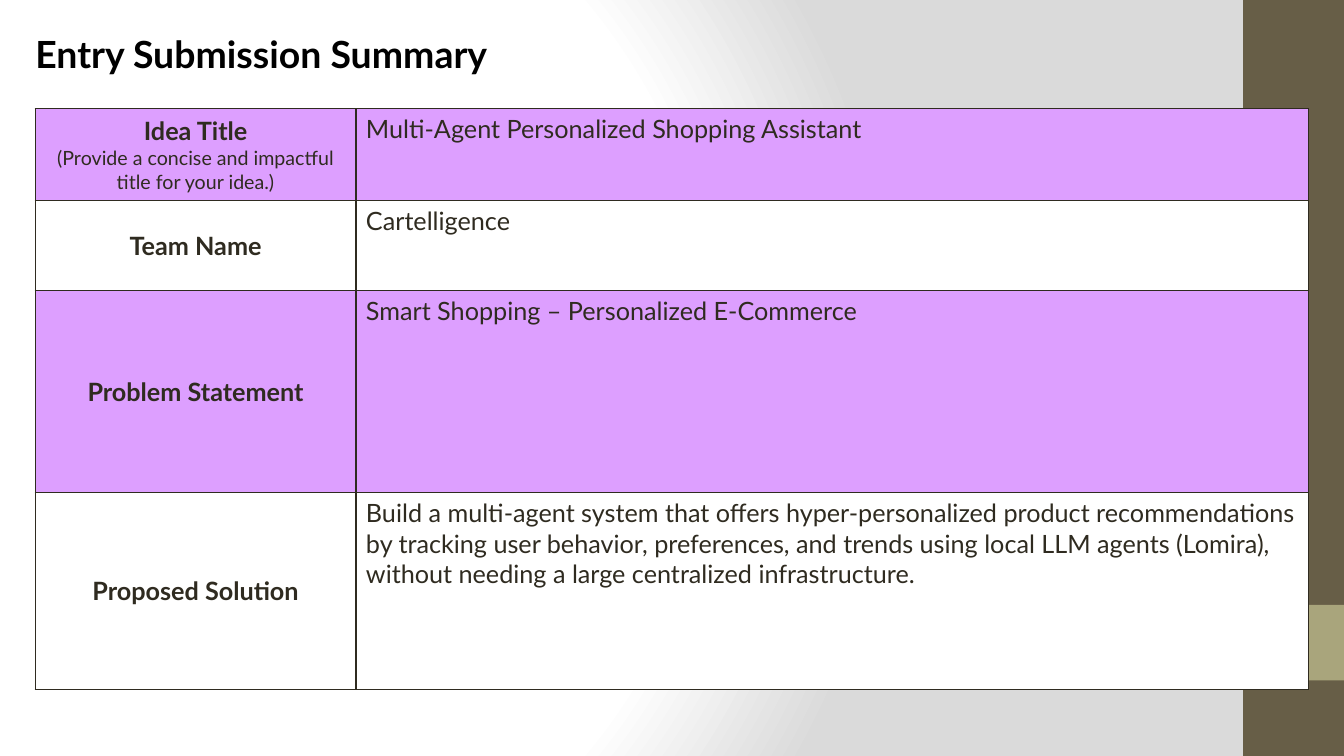
from pptx import Presentation
from pptx.dml.color import RGBColor
from pptx.enum import shapes, text
from pptx.oxml import parse_xml
from pptx.oxml.ns import nsdecls, qn
from pptx.util import Inches, Pt

TITLE = "Entry Submission Summary"
ENTRIES = [
    ("Idea Title\v(Provide a concise and impactful title for your idea.)",
     "Multi-Agent Personalized Shopping Assistant", 0.91),
    ("Team Name", "Cartelligence", 0.89),
    ("Problem Statement", "Smart Shopping – Personalized E-Commerce", 2.01),
    ("Proposed Solution",
     "Build a multi-agent system that offers hyper-personalized product "
     "recommendations by tracking user behavior, preferences, and trends using "
     "local LLM agents (Lomira), without needing a large centralized infrastructure.",
     1.95),
]
COLUMNS = [3.18, 9.45]
FONT = "Lato"
BLACK = RGBColor(0x00, 0x00, 0x00)
INK = RGBColor(0x2F, 0x2B, 0x20)
WHITE = RGBColor(0xFF, 0xFF, 0xFF)
GREY = RGBColor(0xDA, 0xDA, 0xDA)
PURPLE = RGBColor(0xDD, 0x9F, 0xFF)
BROWN = RGBColor(0x67, 0x5E, 0x47)
KHAKI = RGBColor(0xA9, 0xA5, 0x7C)
BACKDROP = [(0, WHITE), (75, WHITE), (100, GREY)]
BANDS = [(0, 7.5, BROWN), (6, 0.75, KHAKI)]


def set_background(s):
    """Give the slide a circular gradient."""
    s.background.fill.gradient()
    stops = "".join(
        f'<a:gs pos="{pos * 1000}"><a:srgbClr val="{color}"/></a:gs>'
        for pos, color in BACKDROP)
    grad = s.element.find(".//" + qn("a:gradFill"))
    grad.getparent().replace(grad, parse_xml(
        f'<a:gradFill {nsdecls("a")} rotWithShape="1"><a:gsLst>{stops}</a:gsLst>'
        '<a:path path="circle"><a:fillToRect l="20000" t="50000" '
        'r="100000" b="50000"/></a:path></a:gradFill>'))


def format_run(r, size, color, bold):
    """Set the font of one run."""
    r.font.name, r.font.size, r.font.bold = FONT, Pt(size), bold
    r.font.color.rgb = color


def add_band(s, top, height, color):
    """Draw one block of the right-hand strip."""
    sp = s.shapes.add_shape(shapes.MSO_SHAPE.RECTANGLE, Inches(12.33),
                            Inches(top), Inches(1), Inches(height))
    sp.shadow.inherit = False
    sp.fill.solid()
    sp.fill.fore_color.rgb = color
    sp.line.fill.background()


def set_title(s):
    """Place and format the title."""
    sp = s.shapes.title
    sp.left, sp.top = Inches(0.35), Inches(0.39)
    sp.width, sp.height = Inches(12.29), Inches(0.93)
    tf = sp.text_frame
    tf.text = TITLE
    tf.word_wrap = True
    tf.vertical_anchor = text.MSO_ANCHOR.TOP
    tf.margin_left = tf.margin_top = tf.margin_bottom = 0
    tf.margin_right = Inches(0.13)
    p = tf.paragraphs[0]
    p.alignment = text.PP_ALIGN.LEFT
    p.line_spacing = 0.8
    format_run(p.runs[0], 26.7, BLACK, True)


def fill_cell(cell, words, color, is_label):
    """Write, border and fill one table cell."""
    tc_pr = cell._tc.get_or_add_tcPr()
    for side in "LRTB":
        tc_pr.append(parse_xml(
            f'<a:ln{side} {nsdecls("a")} w="12700"><a:solidFill>'
            f'<a:srgbClr val="{INK}"/></a:solidFill></a:ln{side}>'))
    cell.fill.solid()
    cell.fill.fore_color.rgb = color
    cell.text_frame.text = words
    p = cell.text_frame.paragraphs[0]
    if is_label:
        cell.vertical_anchor = text.MSO_ANCHOR.MIDDLE
        p.alignment = text.PP_ALIGN.CENTER
    for i, r in enumerate(p.runs):
        format_run(r, 14 if i else 18, INK, is_label and i == 0)


def add_summary(s):
    """Build the table of entry details."""
    frame = s.shapes.add_table(
        len(ENTRIES), len(COLUMNS), Inches(0.35), Inches(1.08),
        Inches(sum(COLUMNS)), Inches(sum(e[2] for e in ENTRIES)))
    table = frame.table
    for column, width in zip(table.columns, COLUMNS):
        column.width = Inches(width)
    for i, (label, answer, height) in enumerate(ENTRIES):
        table.rows[i].height = Inches(height)
        color = WHITE if i % 2 else PURPLE
        fill_cell(table.cell(i, 0), label, color, True)
        fill_cell(table.cell(i, 1), answer, color, False)


def main():
    """Build and save the slide."""
    prs = Presentation()
    prs.slide_width, prs.slide_height = Inches(13.33), Inches(7.5)
    s = prs.slides.add_slide(prs.slide_layouts[5])
    set_background(s)
    for band in BANDS:
        add_band(s, *band)
    set_title(s)
    add_summary(s)
    prs.save("out.pptx")


if __name__ == "__main__":
    main()
